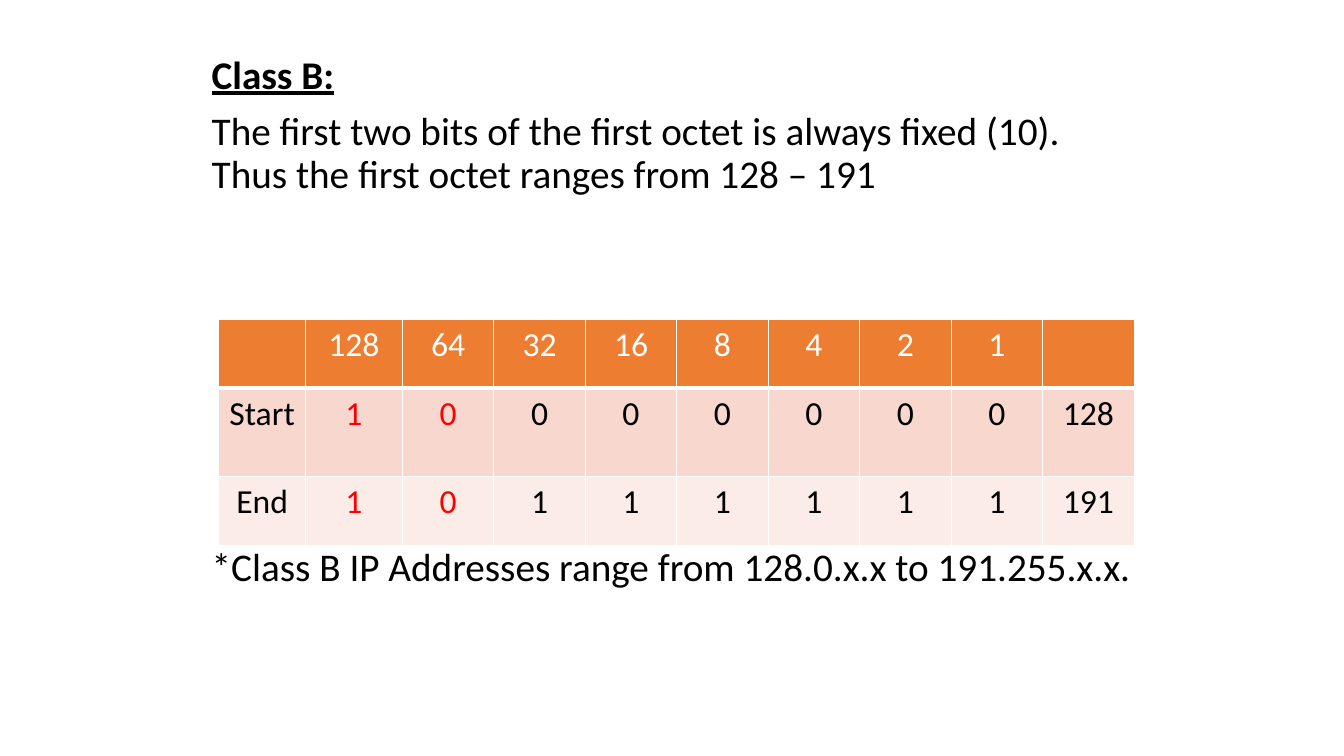
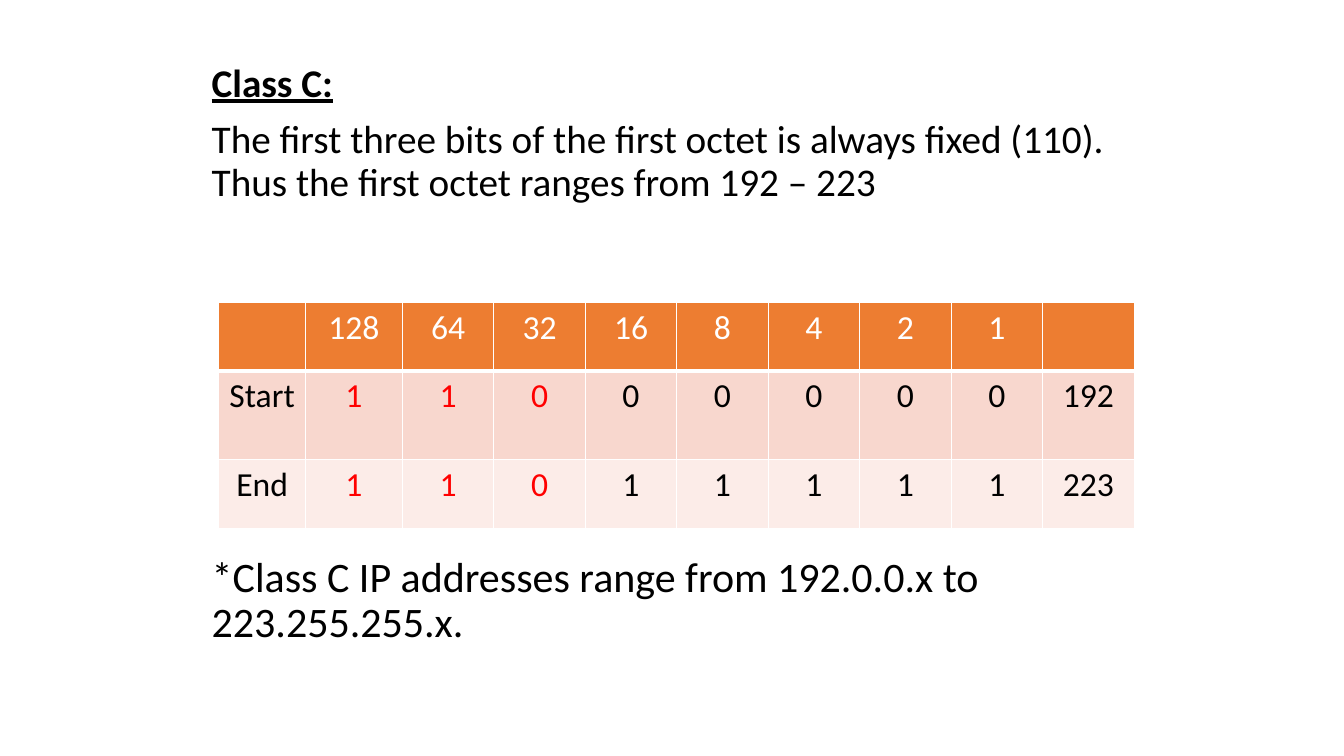
from dataclasses import dataclass

from lxml.etree import SubElement
from pptx import Presentation
from pptx.dml.color import RGBColor
from pptx.enum.text import MSO_ANCHOR as Anchor, MSO_AUTO_SIZE as AutoSize, PP_ALIGN as Align
from pptx.oxml.ns import qn
from pptx.util import Emu, Pt

# Shared look: 100 px to the inch
EMU_PER_PX = 9144
FONT = "Calibri"
BLACK, WHITE, RED = "000000", "FFFFFF", "FF0000"
HEADER_FILL, START_FILL, END_FILL = "ED7D31", "F8D7CE", "FCECE8"
TEXT_LEFT, TEXT_WIDTH = 200, 942
HEADING_HEIGHT, BODY_OFFSET = 53, 56
TABLE_LEFT, TABLE_WIDTH = 217, 908
LABEL_WIDTH, FIRST_BIT_WIDTH = 86, 96
ROW_HEIGHTS = (68, 88, 68)
BIT_COUNT = 8
TEXT_SIZE, CELL_SIZE = 28, 24
NOTE_GAP = 251  # points left for the table above the note


@dataclass(frozen=True)
class AddressClass:
    heading: str
    rule: str
    note: str
    note_size: int
    fixed_bits: int
    first: int
    last: int
    top: int
    bottom: int
    table_top: int


CLASSES = (
    AddressClass(
        "Class B:",
        "The first two bits of the first octet is always fixed (10). "
        "Thus the first octet ranges from 128 – 191",
        "*Class B IP Addresses range from 128.0.x.x to 191.255.x.x.",
        note_size=28, fixed_bits=2, first=128, last=191,
        top=50, bottom=725, table_top=317),
    AddressClass(
        "Class C:",
        "The first three bits of the first octet is always fixed (110). "
        "Thus the first octet ranges from 192 – 223",
        "*Class C IP addresses range from 192.0.0.x to 223.255.255.x.",
        note_size=30, fixed_bits=3, first=192, last=223,
        top=58, bottom=691, table_top=300),
)


def px(length: int) -> Emu:
    return Emu(length * EMU_PER_PX)


def color(value: str) -> RGBColor:
    return RGBColor.from_string(value)


def add_run(paragraph, text: str, size: int, ink: str = BLACK, strong: bool = False) -> None:
    run = paragraph.add_run()
    run.text = text
    run.font.name = FONT
    run.font.size = Pt(size)
    run.font.bold = run.font.underline = strong
    run.font.color.rgb = color(ink)


def place(placeholder, top: int, height: int):
    """Move a placeholder into the text column and return its text frame."""
    placeholder.left, placeholder.top = px(TEXT_LEFT), px(top)
    placeholder.width, placeholder.height = px(TEXT_WIDTH), px(height)
    frame = placeholder.text_frame
    frame.word_wrap = True
    frame.auto_size = AutoSize.NONE
    frame.vertical_anchor = Anchor.TOP
    return frame


def format_paragraph(paragraph, space_before: int = 0) -> None:
    properties = paragraph._p.get_or_add_pPr()
    properties.set("marL", "0")
    properties.set("indent", "0")
    SubElement(properties, qn("a:buNone"))
    paragraph.alignment = Align.LEFT
    paragraph.line_spacing = 0.9
    paragraph.space_before = Pt(space_before)


def add_texts(slide, item: AddressClass) -> None:
    # Heading
    heading = place(slide.shapes.title, item.top, HEADING_HEIGHT).paragraphs[0]
    format_paragraph(heading)
    add_run(heading, item.heading, TEXT_SIZE, strong=True)

    # Rule above the table, note below it
    body_top = item.top + BODY_OFFSET
    body = place(slide.placeholders[1], body_top, item.bottom - body_top)
    rule, note = body.paragraphs[0], body.add_paragraph()
    format_paragraph(rule)
    add_run(rule, item.rule, TEXT_SIZE)
    format_paragraph(note, NOTE_GAP)
    add_run(note, item.note, item.note_size)


def style_cell(cell, fill: str, bottom_width: int) -> None:
    properties = cell._tc.get_or_add_tcPr()
    for side in ("lnL", "lnR", "lnT", "lnB"):
        width = bottom_width if side == "lnB" else 1
        line = SubElement(properties, qn(f"a:{side}"), w=str(Pt(width)))
        SubElement(SubElement(line, qn("a:solidFill")), qn("a:srgbClr"), val=WHITE)
    cell.fill.solid()
    cell.fill.fore_color.rgb = color(fill)


def bit_row(label: str, octet: int) -> list[str]:
    return [label, *format(octet, f"0{BIT_COUNT}b"), str(octet)]


def add_bit_table(slide, item: AddressClass) -> None:
    weights = [str(2 ** power) for power in reversed(range(BIT_COUNT))]
    rows = (
        (["", *weights, ""], HEADER_FILL, WHITE, 3),
        (bit_row("Start", item.first), START_FILL, BLACK, 1),
        (bit_row("End", item.last), END_FILL, BLACK, 1),
    )
    table = slide.shapes.add_table(
        len(rows), BIT_COUNT + 2, px(TABLE_LEFT), px(item.table_top),
        px(TABLE_WIDTH), px(sum(ROW_HEIGHTS))).table

    # Label and first bit have their own widths; the rest share what is left
    other_width = px(TABLE_WIDTH - LABEL_WIDTH - FIRST_BIT_WIDTH) // BIT_COUNT
    widths = [px(LABEL_WIDTH), px(FIRST_BIT_WIDTH)] + [other_width] * BIT_COUNT
    for column, width in zip(table.columns, widths):
        column.width = Emu(width)

    for r, (texts, fill, ink, bottom_width) in enumerate(rows):
        table.rows[r].height = px(ROW_HEIGHTS[r])
        for c, text in enumerate(texts):
            cell = table.cell(r, c)
            style_cell(cell, fill, bottom_width)
            if text:
                fixed = r > 0 and 1 <= c <= item.fixed_bits
                paragraph = cell.text_frame.paragraphs[0]
                paragraph.alignment = Align.CENTER
                add_run(paragraph, text, CELL_SIZE, RED if fixed else ink)


def main() -> None:
    deck = Presentation()
    deck.slide_width, deck.slide_height = px(1333), px(750)
    title_and_content = deck.slide_layouts[1]
    for item in CLASSES:
        slide = deck.slides.add_slide(title_and_content)
        add_texts(slide, item)
        add_bit_table(slide, item)
    deck.save("out.pptx")


if __name__ == "__main__":
    main()
